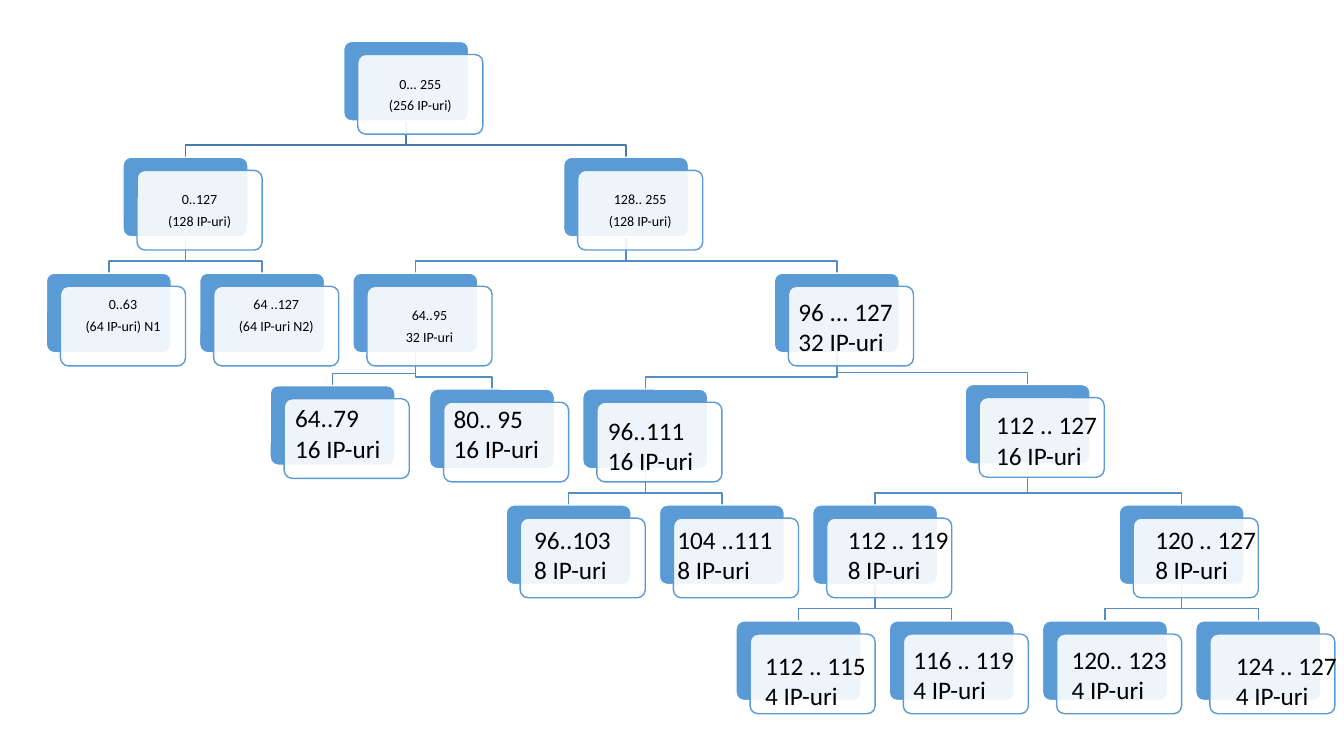
from lxml import etree
from pptx import Presentation
from pptx.dml.color import RGBColor
from pptx.enum.shapes import MSO_SHAPE as Shape
from pptx.enum.text import MSO_ANCHOR as Anchor, MSO_AUTO_SIZE as AutoSize, PP_ALIGN as Align
from pptx.oxml.ns import qn
from pptx.util import Inches, Pt

# Small labels: key, parent, column, row, lines, bottom inset
LABELLED = [
    ("root", None, 3.88, 0, ("0... 255", "(256 IP-uri)"), 0.04),
    ("low", "root", 1, 1, ("0..127", "(128 IP-uri)"), 0.04),
    ("n1", "low", 0, 2, ("0..63", "(64 IP-uri) N1"), 0.26),
    ("n2", "low", 2, 2, ("64 ..127", "(64 IP-uri N2)"), 0.26),
    ("high", "root", 6.75, 1, ("128.. 255", "(128 IP-uri)"), 0.04),
    ("n64", "high", 4, 2, ("64..95", "32 IP-uri"), 0.04),
]
# Large captions: key, parent, column, row, lines, caption offset from the front card
CAPTIONED = [
    ("n64a", "n64", 2.92, 2.97, ("64..79", "16 IP-uri"), (0.01, -0.01)),
    ("n80", "n64", 5, 3, ("80.. 95", "16 IP-uri"), (0, -0.04)),
    ("n96", "high", 9.5, 2, ("96 ... 127", "32 IP-uri"), (0, 0.05)),
    ("n96a", "n96", 7, 3, ("96..111", "16 IP-uri"), (0.01, 0.08)),
    ("n96b", "n96a", 6, 4, ("96..103", "8 IP-uri"), (0.04, 0.01)),
    ("n104", "n96a", 8, 4, ("104 ..111", "8 IP-uri"), (-0.06, 0.01)),
    ("n112", "n96", 11.99, 2.96, ("112 .. 127 16 IP-uri",), (0.07, 0.07)),
    ("n112a", "n112", 10, 4, ("112 .. 119", "8 IP-uri"), (0.11, 0.01)),
    ("n112b", "n112a", 9, 5, ("112 .. 115", "4 IP-uri"), (0.05, 0.11)),
    ("n116", "n112a", 11, 5, ("116 .. 119", "4 IP-uri"), (0, 0.05)),
    ("n120", "n112", 14, 4, ("120 .. 127", "8 IP-uri"), (0.12, 0.01)),
    ("n120a", "n120", 13, 5, ("120.. 123", "4 IP-uri"), (0.05, 0.05)),
    ("n124", "n120", 15, 5, ("124 .. 127", "4 IP-uri"), (0.16, 0.11)),
]
NODES = LABELLED + CAPTIONED

BLUE, WHITE, BLACK = "5B9BD5", "FFFFFF", "000000"
ROOT_EDGE, EDGE = "497CAB", "538DC1"
LEFT, TOP, COLUMN, ROW = 0.46, 0.41, 0.76, 1.15
CARD_W, CARD_H = 1.24, 0.79
FRONT_DX, FRONT_DY = 0.14, 0.13
BEND = 0.12
CAPTION_W, CAPTION_H = 1.28, 0.71

LABEL_FRAME = dict(word_wrap=True, vertical_anchor=Anchor.MIDDLE, margin_left=Inches(0.04),
                   margin_right=Inches(0.04), margin_top=Inches(0.04))
LABEL_PARAGRAPH = dict(alignment=Align.CENTER, space_after=Pt(3.5))
CAPTION_FRAME = dict(word_wrap=True, auto_size=AutoSize.SHAPE_TO_FIT_TEXT)
CAPTION_PARAGRAPH = dict(alignment=Align.LEFT)


def rgb(value):
    return RGBColor.from_string(value)


def apply(target, values):
    for name, value in values.items():
        setattr(target, name, value)


def outline(shape, color):
    shape.shadow.inherit = False
    shape.line.color.rgb = rgb(color)
    shape.line.width = Pt(1)


def write(frame, lines, size, frame_values, paragraph_values):
    apply(frame, frame_values)
    for number, line in enumerate(lines):
        paragraph = frame.paragraphs[0] if number == 0 else frame.add_paragraph()
        apply(paragraph, paragraph_values)
        run = paragraph.add_run()
        run.text = line
        apply(run.font, dict(name="Calibri", size=Pt(size)))
        run.font.color.rgb = rgb(BLACK)


def add_card(left, top, fill, line, opacity=100):
    card = slide.shapes.add_shape(Shape.ROUNDED_RECTANGLE, Inches(left), Inches(top),
                                  Inches(CARD_W), Inches(CARD_H))
    card.adjustments[0] = 0.1
    card.fill.solid()
    card.fill.fore_color.rgb = rgb(fill)
    outline(card, line)
    if opacity < 100:
        color = card.fill._xPr.find(qn("a:solidFill")).find(qn("a:srgbClr"))
        etree.SubElement(color, qn("a:alpha"), val=str(opacity * 1000))
    return card


def add_branch(parent, child, color):
    start_x, start_y = corners[parent][0] + CARD_W / 2, corners[parent][1] + CARD_H
    end_x, end_y = corners[child][0] + CARD_W / 2, corners[child][1]
    bend_y = end_y - BEND
    builder = slide.shapes.build_freeform(Inches(start_x), Inches(start_y))
    bends = [(start_x, bend_y), (end_x, bend_y), (end_x, end_y)]
    builder.add_line_segments([(Inches(x), Inches(y)) for x, y in bends], close=False)
    branch = builder.convert_to_shape()
    branch.fill.background()
    outline(branch, color)


deck = Presentation()
deck.slide_width, deck.slide_height = Inches(13.33), Inches(7.5)
slide = deck.slides.add_slide(deck.slide_layouts[6])

corners = {key: (LEFT + column * COLUMN, TOP + row * ROW)
           for key, _, column, row, _, _ in NODES}

# Branches behind the cards
for key, parent, *_ in NODES:
    if parent:
        add_branch(parent, key, ROOT_EDGE if parent == "root" else EDGE)

# Blue back card and translucent front card per node
fronts = {}
for key, (left, top) in corners.items():
    add_card(left, top, BLUE, WHITE)
    fronts[key] = add_card(left + FRONT_DX, top + FRONT_DY, WHITE, BLUE, opacity=90)

# Small labels inside the front cards
for key, _, _, _, lines, bottom in LABELLED:
    write(fronts[key].text_frame, lines, 10,
          {**LABEL_FRAME, "margin_bottom": Inches(bottom)}, LABEL_PARAGRAPH)

# Large captions over the cards
for key, _, _, _, lines, (dx, dy) in CAPTIONED:
    left, top = corners[key]
    caption = slide.shapes.add_textbox(Inches(left + FRONT_DX + dx), Inches(top + FRONT_DY + dy),
                                       Inches(CAPTION_W), Inches(CAPTION_H))
    write(caption.text_frame, lines, 18, CAPTION_FRAME, CAPTION_PARAGRAPH)

deck.save("out.pptx")
